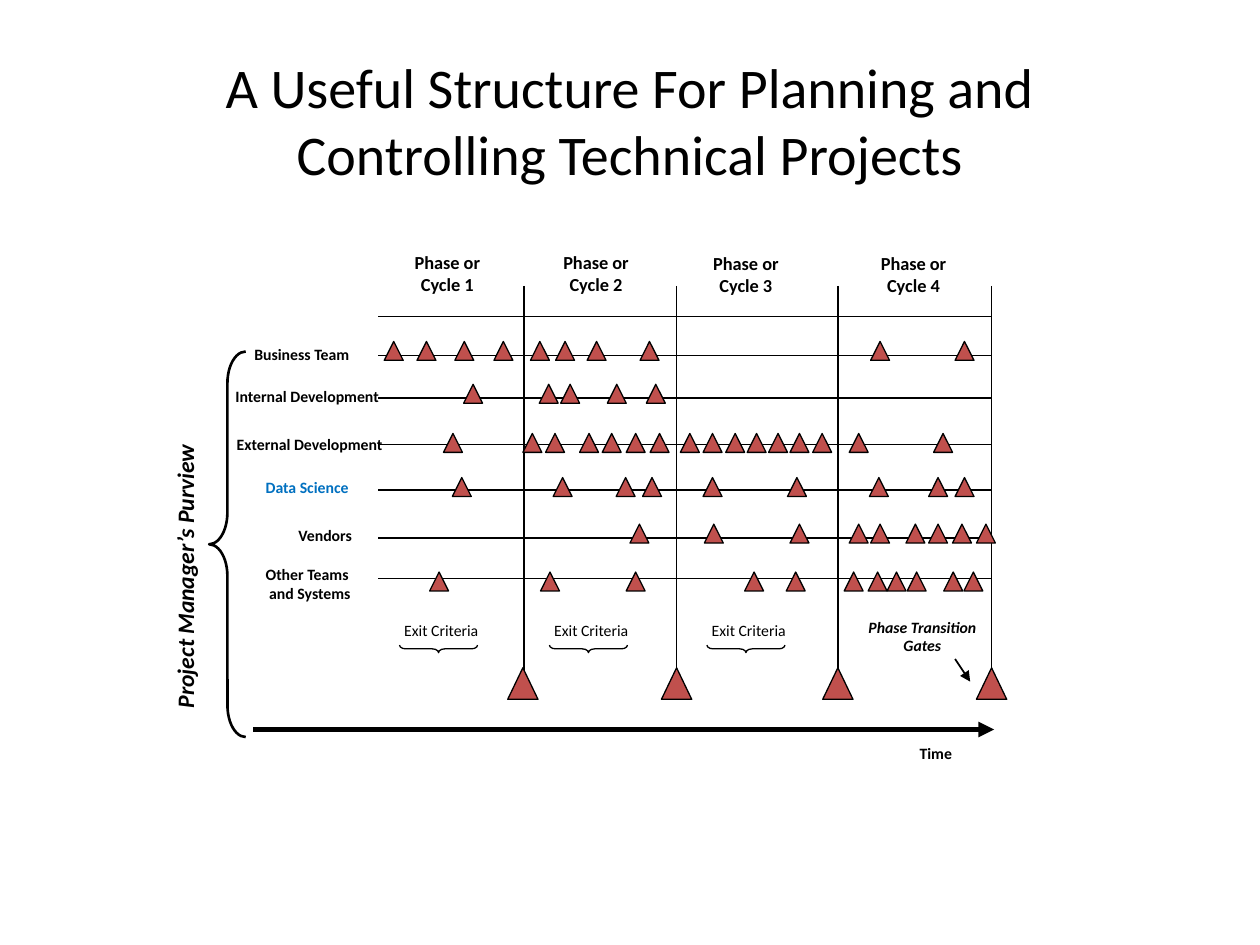
"""Build a slide charting project lanes, milestones and phase gates over time."""
from dataclasses import dataclass

from pptx import Presentation
from pptx.dml.color import RGBColor
from pptx.enum.shapes import MSO_CONNECTOR as Connector
from pptx.enum.shapes import MSO_SHAPE as Preset
from pptx.enum.text import MSO_ANCHOR as Anchor
from pptx.enum.text import PP_ALIGN as Align
from pptx.oxml.ns import qn
from pptx.util import Inches, Pt
from lxml.etree import SubElement

CELL = 0.1
FONT = "Calibri"
COLORS = {"ink": "000000", "marker": "C0504D", "accent": "0070C0"}
TIMELINE_LEFT, TIMELINE_RIGHT, HEADER_ROW = 30, 78.7, 25.1
GATE_TOP, GATE_BOTTOM = 22.7, 53.9
MARKER_SIZE = 1.5


@dataclass(frozen=True)
class Box:
    column: float
    row: float
    columns: float
    rows: float

    def lengths(self) -> list:
        return [cells(n) for n in (self.column, self.row, self.columns, self.rows)]


@dataclass(frozen=True)
class Style:
    size: float = 9
    color: str = "ink"
    bold: bool = True
    italic: bool = False
    align: Align = Align.LEFT
    wrap: bool = True
    side_inset: float = 1


@dataclass(frozen=True)
class Lane:
    lines: tuple
    label: Box
    line_row: float
    marker_row: float
    markers: tuple
    color: str = "ink"


@dataclass(frozen=True)
class Phase:
    number: int
    label_column: float
    label_row: float
    gate_column: float
    marker_column: float


LANES = (
    Lane(("Business Team",), Box(19.2, 26.9, 9.8, 2.5), 28.2, 27.1,
         (30.5, 33.1, 36.1, 39.2, 42.1, 44.1, 46.6, 50.8, 69.1, 75.8)),
    Lane(("Internal Development",), Box(17.7, 30.2, 13.6, 2.5), 31.6, 30.5,
         (36.8, 42.8, 44.5, 48.2, 51.3)),
    Lane(("External Development",), Box(17.8, 34, 13.8, 2.5), 35.3, 34.4,
         (35.2, 41.5, 43.3, 46, 47.8, 49.7, 51.6, 54, 55.8, 57.6, 59.3,
          61, 62.7, 64.5, 67.4, 74.1)),
    Lane(("Data Science",), Box(20.1, 37.4, 8.7, 2.5), 38.9, 37.9,
         (35.9, 43.9, 48.9, 51, 55.8, 62.5, 69, 73.7, 75.8), "accent"),
    Lane(("Vendors",), Box(22.7, 41.2, 6.4, 2.5), 42.7, 41.6,
         (50, 55.9, 62.7, 67.4, 69.1, 71.9, 73.7, 75.6, 77.5)),
    Lane(("Other Teams", " and Systems"), Box(20.1, 44.3, 8.9, 4), 45.9, 45.4,
         (34.1, 42.9, 49.7, 59.1, 62.4, 67, 68.9, 70.4, 72, 74.9, 76.5)),
)
PHASES = (
    Phase(1, 31.9, 19.4, 41.6, 40.3),
    Phase(2, 43.7, 19.4, 53.7, 52.5),
    Phase(3, 55.6, 19.5, 66.5, 65.3),
    Phase(4, 68.9, 19.5, 78.7, 77.5),
)
EXIT_CRITERIA_COLUMNS = (31.1, 43, 55.5)


def cells(count: float) -> int:
    return Inches(round(count * CELL, 2))


def rgb(name: str) -> RGBColor:
    return RGBColor.from_string(COLORS[name])


def write(frame, lines: tuple, style: Style) -> None:
    frame.word_wrap = style.wrap
    frame.margin_left = frame.margin_right = cells(style.side_inset)
    frame.margin_top = frame.margin_bottom = cells(0.5)
    for index, line in enumerate(lines):
        paragraph = frame.add_paragraph() if index else frame.paragraphs[0]
        paragraph.alignment = style.align
        run = paragraph.add_run()
        run.text = line
        font = run.font
        font.name, font.size = FONT, Pt(style.size)
        font.bold, font.italic = style.bold, style.italic
        font.color.rgb = rgb(style.color)


def add_text(slide, box: Box, lines: tuple, style: Style):
    frame = slide.shapes.add_textbox(*box.lengths()).text_frame
    write(frame, lines, style)
    return frame


def add_line(slide, start: tuple, end: tuple, width: float = 0.75, arrow: bool = False) -> None:
    points = [cells(n) for n in (*start, *end)]
    connector = slide.shapes.add_connector(Connector.STRAIGHT, *points)
    connector.line.color.rgb = rgb("ink")
    connector.line.width = Pt(width)
    if arrow:
        SubElement(connector.line._get_or_add_ln(), qn("a:tailEnd"), type="triangle")
    SubElement(connector._element.spPr, qn("a:effectLst"))


def add_outline(slide, preset: Preset, box: Box, width: float = 0.75):
    shape = slide.shapes.add_shape(preset, *box.lengths())
    shape.shadow.inherit = False
    shape.fill.background()
    shape.line.color.rgb = rgb("ink")
    shape.line.width = Pt(width)
    return shape


def add_triangle(slide, box: Box) -> None:
    triangle = add_outline(slide, Preset.ISOSCELES_TRIANGLE, box)
    triangle.fill.solid()
    triangle.fill.fore_color.rgb = rgb("marker")


def add_title(slide) -> None:
    title = slide.shapes.title
    title.left, title.top, title.width, title.height = Box(6.7, 3.6, 86.6, 11.8).lengths()
    title.text_frame.vertical_anchor = Anchor.MIDDLE
    write(title.text_frame,
          ("A Useful Structure For Planning and Controlling Technical Projects",),
          Style(size=32, bold=False, align=Align.CENTER))


def add_grid(slide) -> None:
    for row in (HEADER_ROW, *(lane.line_row for lane in LANES)):
        add_line(slide, (TIMELINE_LEFT, row), (TIMELINE_RIGHT, row))
    for phase in PHASES:
        add_line(slide, (phase.gate_column, GATE_TOP), (phase.gate_column, GATE_BOTTOM))


def add_lane(slide, lane: Lane) -> None:
    add_text(slide, lane.label, lane.lines, Style(color=lane.color, wrap=False))
    for column in lane.markers:
        add_triangle(slide, Box(column, lane.marker_row, MARKER_SIZE, MARKER_SIZE))


def add_phase(slide, phase: Phase) -> None:
    add_text(slide, Box(phase.label_column, phase.label_row, 7.2, 4.5),
             (f"Phase or Cycle {phase.number}",),
             Style(size=10.5, align=Align.CENTER, side_inset=0.8))
    add_triangle(slide, Box(phase.marker_column, 53, 2.4, 2.5))


def add_exit_criteria(slide, column: float) -> None:
    add_text(slide, Box(column, 48.8, 9.4, 2.5), ("Exit Criteria",), Style(bold=False))
    brace = add_outline(slide, Preset.RIGHT_BRACE, Box(column + 3.4, 48.4, 0.6, 6.2))
    brace.adjustments[0] = 0.83
    brace.rotation = 90


def add_purview(slide) -> None:
    frame = add_text(slide, Box(12.5, 34.3, 4.3, 22.9), ("Project Manager’s Purview",),
                     Style(size=13.5, italic=True, align=Align.CENTER))
    frame._txBody.bodyPr.set("vert", "vert270")
    frame.vertical_anchor = Anchor.MIDDLE
    brace = add_outline(slide, Preset.LEFT_BRACE, Box(16.6, 27.9, 2.9, 30.6), 1.5)
    brace.adjustments[0] = 0.87


def add_time_axis(slide) -> None:
    add_line(slide, (20.1, 57.9), (78.9, 57.9), 3, arrow=True)
    add_text(slide, Box(72, 58.5, 4.6, 2.5), ("Time",), Style(wrap=False))
    add_text(slide, Box(68, 48.5, 10.4, 5.6), ("Phase Transition Gates",),
             Style(italic=True, align=Align.CENTER, side_inset=0.8))
    add_line(slide, (75.8, 52.3), (77, 54.1), 1, arrow=True)


def main() -> None:
    presentation = Presentation()
    presentation.slide_width, presentation.slide_height = cells(100), cells(75)
    slide = presentation.slides.add_slide(presentation.slide_layouts[5])
    add_title(slide)
    add_grid(slide)
    for lane in LANES:
        add_lane(slide, lane)
    for phase in PHASES:
        add_phase(slide, phase)
    for column in EXIT_CRITERIA_COLUMNS:
        add_exit_criteria(slide, column)
    add_purview(slide)
    add_time_axis(slide)
    presentation.save("out.pptx")


if __name__ == "__main__":
    main()
